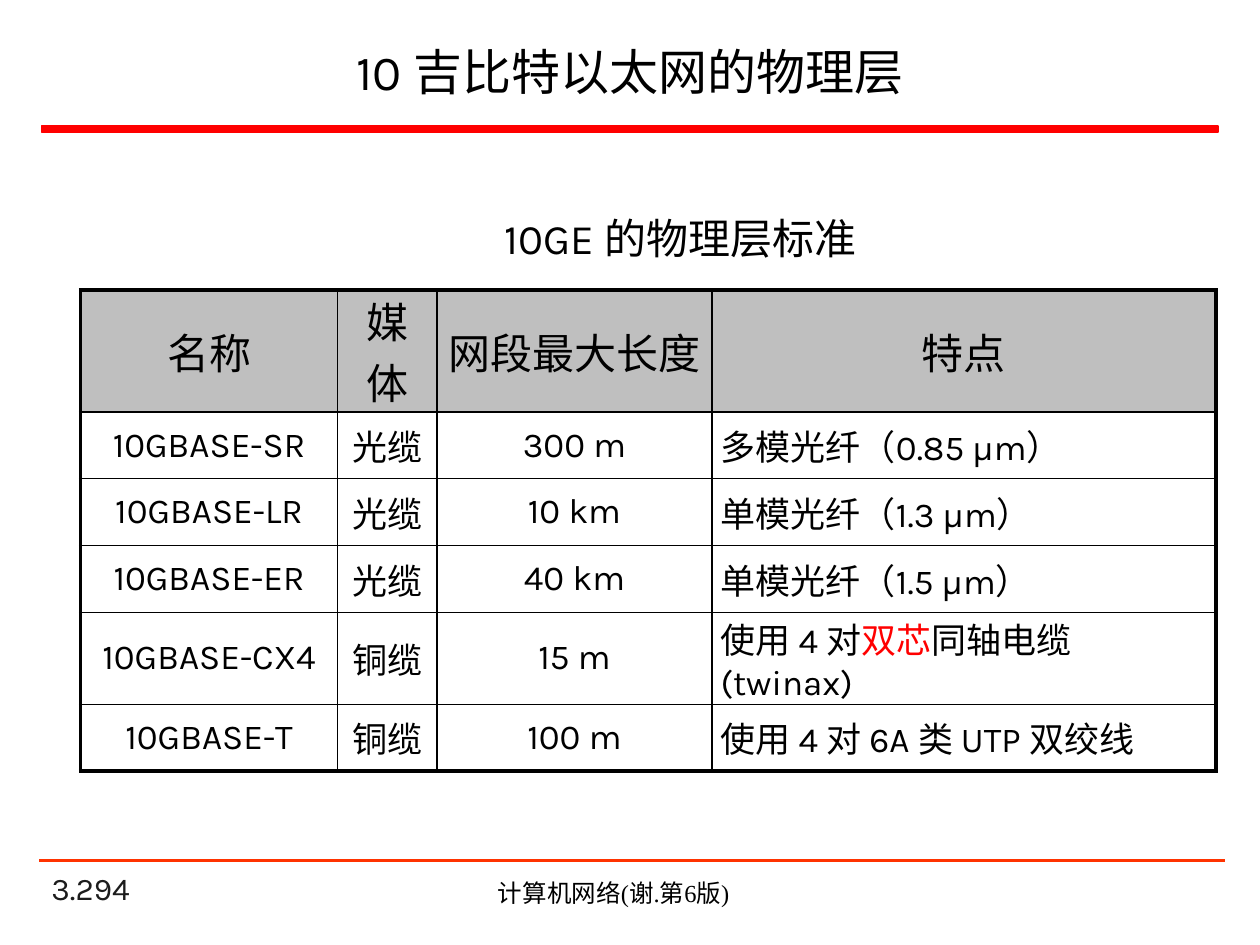
from dataclasses import dataclass

from lxml.etree import SubElement
from pptx import Presentation
from pptx.dml.color import RGBColor
from pptx.enum.shapes import MSO_CONNECTOR as CONNECTOR, MSO_SHAPE as SHAPE
from pptx.enum.text import MSO_ANCHOR as ANCHOR, PP_ALIGN as ALIGN
from pptx.oxml import parse_xml
from pptx.oxml.ns import nsdecls, qn
from pptx.util import Inches, Pt


@dataclass(frozen=True)
class Theme:
    font: str = "Karla"
    footer_font: str = "Times New Roman"
    black: str = "000000"
    number: str = "1C1C1C"
    red: str = "FF0000"
    orange: str = "FF3300"
    header: str = "BFBFBF"
    title_size: int = 28
    head_size: int = 24
    body_size: int = 20
    number_size: int = 18
    footer_size: int = 14
    thin: float = 1
    thick: float = 2.25


class SlideBuilder:
    """Draws styled elements on the current slide."""

    def __init__(self, prs, theme):
        self.theme = theme
        self.s = prs.slides.add_slide(prs.slide_layouts[5])

    def style(self, p, size, align, color=None, font=None):
        p.alignment = align
        for r in p.runs:
            r.font.size = Pt(size)
            r.font.name = font or self.theme.font
            r.font.color.rgb = RGBColor.from_string(color or self.theme.black)

    def title(self, text, box):
        sp = self.s.shapes.title
        sp.left, sp.top, sp.width, sp.height = map(Inches, box)
        tf = sp.text_frame
        tf.text = text
        tf.vertical_anchor = ANCHOR.MIDDLE
        self.style(tf.paragraphs[0], self.theme.title_size, ALIGN.CENTER)

    def text(self, text, box, size, align=ALIGN.CENTER, anchor=ANCHOR.TOP, color=None, font=None):
        tf = self.s.shapes.add_textbox(*map(Inches, box)).text_frame
        tf.word_wrap = True
        tf.vertical_anchor = anchor
        tf.text = text
        self.style(tf.paragraphs[0], size, align, color, font)

    def bar(self, box, color):
        sp = self.s.shapes.add_shape(SHAPE.RECTANGLE, *map(Inches, box))
        sp.shadow.inherit = False
        sp.fill.solid()
        sp.fill.fore_color.rgb = sp.line.color.rgb = RGBColor.from_string(color)
        sp.line.width = Pt(1)

    def line(self, start, end, color, width):
        sp = self.s.shapes.add_connector(CONNECTOR.STRAIGHT, *map(Inches, start + end))
        sp.line.color.rgb = RGBColor.from_string(color)
        sp.line.width = Pt(width)
        SubElement(sp._element.spPr, qn("a:effectLst"))

    def borders(self, cell, outer):
        tcPr = cell._tc.get_or_add_tcPr()
        for i, side in enumerate("LRTB"):
            width = Pt(self.theme.thick if side in outer else self.theme.thin)
            tcPr.insert(i, parse_xml(
                f'<a:ln{side} {nsdecls("a")} w="{width}"><a:solidFill>'
                f'<a:srgbClr val="{self.theme.black}"/></a:solidFill></a:ln{side}>'))

    def cell(self, cell, text, is_head, align, outer):
        cell.margin_left = cell.margin_right = Inches(0.07)
        cell.margin_top = cell.margin_bottom = 0
        cell.vertical_anchor = ANCHOR.MIDDLE
        if is_head:
            cell.fill.solid()
            cell.fill.fore_color.rgb = RGBColor.from_string(self.theme.header)
        else:
            cell.fill.background()
        p = cell.text_frame.paragraphs[0]
        for part in text.split("|"):
            p.add_run().text = part
        self.style(p, self.theme.head_size if is_head else self.theme.body_size, align)
        for r in p.runs[1::2]:
            r.font.color.rgb = RGBColor.from_string(self.theme.red)
        self.borders(cell, outer)

    def table(self, rows, origin, widths, heights):
        box = (*origin, sum(widths), sum(heights))
        table = self.s.shapes.add_table(len(rows), len(widths), *map(Inches, box)).table
        table.first_row = table.horz_banding = False
        for column, width in zip(table.columns, widths):
            column.width = Inches(width)
        for row, height in zip(table.rows, heights):
            row.height = Inches(height)
        last_row, last_col = len(rows) - 1, len(widths) - 1
        for i, row in enumerate(rows):
            for j, text in enumerate(row):
                edges = {"L": j == 0, "R": j == last_col, "T": i == 0, "B": i == last_row}
                outer = [side for side, is_outer in edges.items() if is_outer]
                align = ALIGN.CENTER
                if i and j == last_col:
                    align = ALIGN.LEFT if "|" in text else ALIGN.JUSTIFY
                self.cell(table.cell(i, j), text, i == 0, align, outer)


STANDARDS = [
    ("名称", "媒体", "网段最大长度", "特点"),
    ("10GBASE-SR", "光缆", "300 m", "多模光纤（0.85 μm）"),
    ("10GBASE-LR", "光缆", "10 km", "单模光纤（1.3 μm）"),
    ("10GBASE-ER", "光缆", "40 km", "单模光纤（1.5 μm）"),
    ("10GBASE-CX4", "铜缆", "15 m", "使用 4 对|双芯|同轴电缆 (twinax)"),
    ("10GBASE-T", "铜缆", "100 m", "使用 4 对 6A 类 UTP 双绞线"),
]


def main():
    prs = Presentation()
    prs.slide_width, prs.slide_height = Inches(10), Inches(7.5)
    theme = Theme()
    b = SlideBuilder(prs, theme)
    b.text("3.294", (0.31, 6.92, 2.08, 0.33), theme.number_size, ALIGN.LEFT,
           ANCHOR.BOTTOM, theme.number)
    b.bar((0.33, 1, 9.34, 0.05), theme.red)
    b.line((0.31, 6.83), (9.72, 6.83), theme.orange, 1.5)
    b.text("计算机网络(谢.第6版)", (2.83, 6.92, 4.08, 0.34), theme.footer_size,
           font=theme.footer_font)
    b.title("10 吉比特以太网的物理层", (0.36, 0.21, 9.28, 0.71))
    b.table(STANDARDS, (0.64, 2.3), (2.04, 0.79, 2.18, 4), [0.97] + [0.53] * 3 + [0.73, 0.53])
    b.text("10GE 的物理层标准", (2.19, 1.64, 6.42, 0.5), theme.head_size, anchor=ANCHOR.MIDDLE)
    prs.save("out.pptx")


if __name__ == "__main__":
    main()
